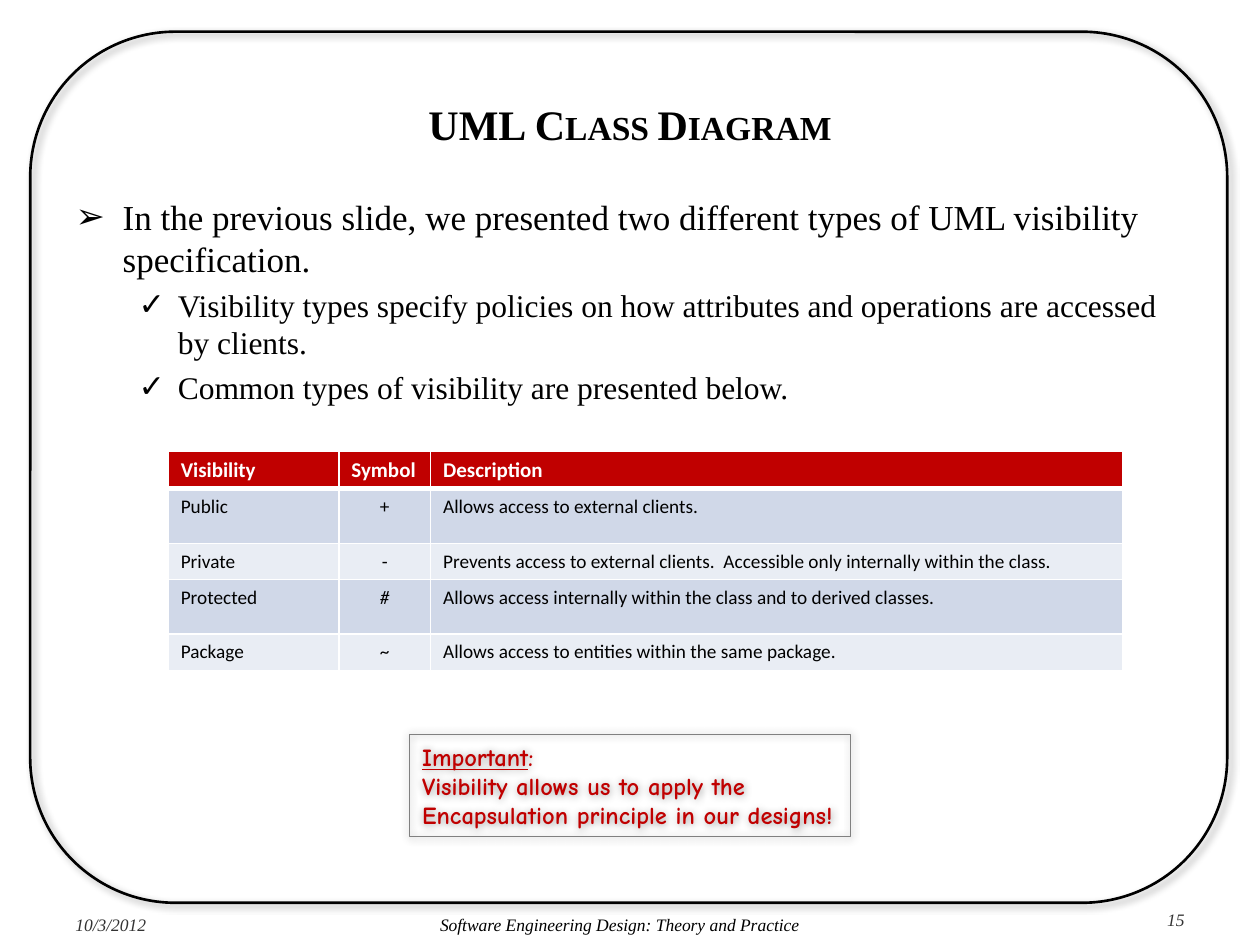
"""Build the slide on visibility types in UML class diagrams."""
from dataclasses import dataclass

from lxml import etree
from pptx import Presentation
from pptx.dml.color import RGBColor
from pptx.enum.shapes import MSO_SHAPE
from pptx.enum.text import MSO_ANCHOR, MSO_AUTO_SIZE, PP_ALIGN
from pptx.oxml.ns import qn
from pptx.util import Cm, Pt

LEFT, MID, RIGHT = PP_ALIGN.LEFT, PP_ALIGN.CENTER, PP_ALIGN.RIGHT
TOP, CENTRE = MSO_ANCHOR.TOP, MSO_ANCHOR.MIDDLE
ROUND, RECT = MSO_SHAPE.ROUNDED_RECTANGLE, MSO_SHAPE.RECTANGLE
FIXED = MSO_AUTO_SIZE.NONE

BLACK = RGBColor(0x00, 0x00, 0x00)
WHITE = RGBColor(0xFF, 0xFF, 0xFF)
DARK = RGBColor(0x33, 0x33, 0x33)
GRAY = RGBColor(0x80, 0x80, 0x80)
RED = RGBColor(0xC0, 0x00, 0x00)
BANDS = RGBColor(0xD0, 0xD8, 0xE8), RGBColor(0xE9, 0xED, 0xF4)

SERIF, SANS, COMIC = "Times New Roman", "Calibri", "Comic Neue"


@dataclass
class Box:
    x: float
    y: float
    w: float
    h: float

    def place(self) -> tuple:
        return Cm(self.x), Cm(self.y), Cm(self.w), Cm(self.h)


@dataclass
class Note:
    text: str
    box: Box
    align: int
    anchor: int
    color: RGBColor


@dataclass
class Point:
    text: str
    level: int
    size: int
    mark: str
    margin: float
    indent: float


NOTES = [
    Note("10/3/2012", Box(1.27, 18.25, 2.74, 0.76), LEFT, CENTRE, DARK),
    Note("Software Engineering Design: Theory and Practice",
         Box(4.02, 18.25, 16.94, 0.76), MID, CENTRE, BLACK),
    Note("15", Box(20.95, 18.21, 3.18, 0.84), RIGHT, TOP, DARK),
]
POINTS = [
    Point("In the previous slide, we presented two different types of UML "
          "visibility specification.", 0, 20, "➢", 0.95, -0.95),
    Point("Visibility types specify policies on how attributes and operations "
          "are accessed by clients.", 1, 18, "✓", 2.06, -0.79),
    Point("Common types of visibility are presented below.",
          1, 18, "✓", 2.06, -0.79),
]
ROWS = [
    ("Visibility", "Symbol", "Description"),
    ("Public", "+", "Allows access to external clients."),
    ("Private", "-", "Prevents access to external clients.  "
     "Accessible only internally within the class."),
    ("Protected", "#",
     "Allows access internally within the class and to derived classes."),
    ("Package", "~", "Allows access to entities within the same package."),
]
WIDTHS = 3.44, 1.85, 13.96
HEIGHTS = 0.74, 1.1, 0.73, 1.1, 0.73


def style(para, face: str, size: float, color: RGBColor,
          bold: bool = False, italic: bool = False) -> None:
    """Set the font of a whole paragraph."""
    font = para.font
    font.name, font.size = face, Pt(size)
    font.bold, font.italic = bold, italic
    font.color.rgb = color


def place(shape, box: Box) -> None:
    """Move and size a shape."""
    shape.left, shape.top, shape.width, shape.height = box.place()


def add_frame(slide, kind: int, box: Box, color: RGBColor, width: float,
              blur: float, dist: float, turn: int):
    """Draw an unfilled outline with a soft shadow."""
    shape = slide.shapes.add_shape(kind, *box.place())
    shape.fill.background()
    shape.line.color.rgb = color
    shape.line.width = Pt(width)
    shape.shadow.inherit = False
    glow = etree.SubElement(
        shape._element.spPr.find(qn("a:effectLst")), qn("a:outerShdw"),
        blurRad=str(Pt(blur)), dist=str(Pt(dist)), dir=str(turn * 60000),
        algn="ctr", rotWithShape="0")
    tint = etree.SubElement(glow, qn("a:srgbClr"), val=str(BLACK))
    etree.SubElement(tint, qn("a:alpha"), val="40000")
    return shape


def add_note(slide, note: Note) -> None:
    """Add one piece of footer text."""
    frame = slide.shapes.add_textbox(*note.box.place()).text_frame
    frame.word_wrap = True
    frame.vertical_anchor = note.anchor
    para = frame.paragraphs[0]
    para.text, para.alignment = note.text, note.align
    style(para, SERIF, 10, note.color, italic=True)


def fill_title(title) -> None:
    """Write the heading in small capitals."""
    place(title, Box(1.27, 1.38, 22.86, 2.21))
    frame = title.text_frame
    frame.auto_size, frame.vertical_anchor = FIXED, CENTRE
    para = frame.paragraphs[0]
    para.alignment = MID
    run = para.add_run()
    run.text = "UML Class Diagram"
    run._r.get_or_add_rPr().set("cap", "small")
    style(para, SERIF, 24, BLACK, bold=True)


def fill_body(body) -> None:
    """Write the bulleted list."""
    place(body, Box(1.27, 3.81, 22.86, 13.34))
    frame = body.text_frame
    frame.auto_size, frame.vertical_anchor = FIXED, TOP
    for i, point in enumerate(POINTS):
        para = frame.add_paragraph() if i else frame.paragraphs[0]
        para.text, para.level = point.text, point.level
        props = para._p.get_or_add_pPr()
        props.set("marL", str(Cm(point.margin)))
        props.set("indent", str(Cm(point.indent)))
        etree.SubElement(props, qn("a:buChar"), char=point.mark)
        style(para, SERIF, point.size, BLACK)
    frame.paragraphs[0].space_before = Pt(0)


def add_edge(cell, side: str, width: float) -> None:
    """Give a cell one white border."""
    line = etree.SubElement(cell._tc.get_or_add_tcPr(), qn(f"a:ln{side}"),
                            w=str(Pt(width)))
    fill = etree.SubElement(line, qn("a:solidFill"))
    etree.SubElement(fill, qn("a:srgbClr"), val=str(WHITE))


def add_grid(slide) -> None:
    """Add the table of visibility types."""
    box = Box(3.39, 9.09, sum(WIDTHS), sum(HEIGHTS))
    table = slide.shapes.add_table(len(ROWS), len(WIDTHS), *box.place()).table
    for col, width in zip(table.columns, WIDTHS):
        col.width = Cm(width)
    for i, (row, height) in enumerate(zip(ROWS, HEIGHTS)):
        table.rows[i].height = Cm(height)
        head = i == 0
        for j, text in enumerate(row):
            cell = table.cell(i, j)
            for side in "LRTB":
                thick = (i, side) in ((0, "B"), (1, "T"))
                add_edge(cell, side, 3 if thick else 1)
            cell.fill.solid()
            cell.fill.fore_color.rgb = RED if head else BANDS[(i - 1) % 2]
            para = cell.text_frame.paragraphs[0]
            para.text = text
            para.alignment = MID if j == 1 and not head else LEFT
            style(para, SANS, 12 if head else 11, WHITE if head else BLACK,
                  bold=head, italic=text == "#")


def add_tip(slide) -> None:
    """Add the boxed remark below the table."""
    shape = add_frame(slide, RECT, Box(8.26, 14.81, 8.89, 2.06),
                      GRAY, 0.75, 5, 0, 0)
    frame = shape.text_frame
    frame.word_wrap = True
    first, last = frame.paragraphs[0], frame.add_paragraph()
    for text, under in (("Important", True), (":", False)):
        run = first.add_run()
        run.text, run.font.underline = text, under
    last.text = ("Visibility allows us to apply the Encapsulation "
                 "principle in our designs!")
    for para in first, last:
        para.alignment = LEFT
        style(para, COMIC, 14, RED, bold=True)


def main() -> None:
    """Build and save the slide."""
    deck = Presentation()
    deck.slide_width, deck.slide_height = Cm(25.4), Cm(19.05)
    slide = deck.slides.add_slide(deck.slide_layouts[1])
    rim = add_frame(slide, ROUND, Box(0.61, 0.64, 24.13, 17.56),
                    BLACK, 1.5, 4, 3, 45)
    slide.shapes._spTree.insert(2, rim._element)
    fill_title(slide.shapes.title)
    fill_body(slide.placeholders[1])
    for note in NOTES:
        add_note(slide, note)
    add_grid(slide)
    add_tip(slide)
    deck.save("out.pptx")


if __name__ == "__main__":
    main()
